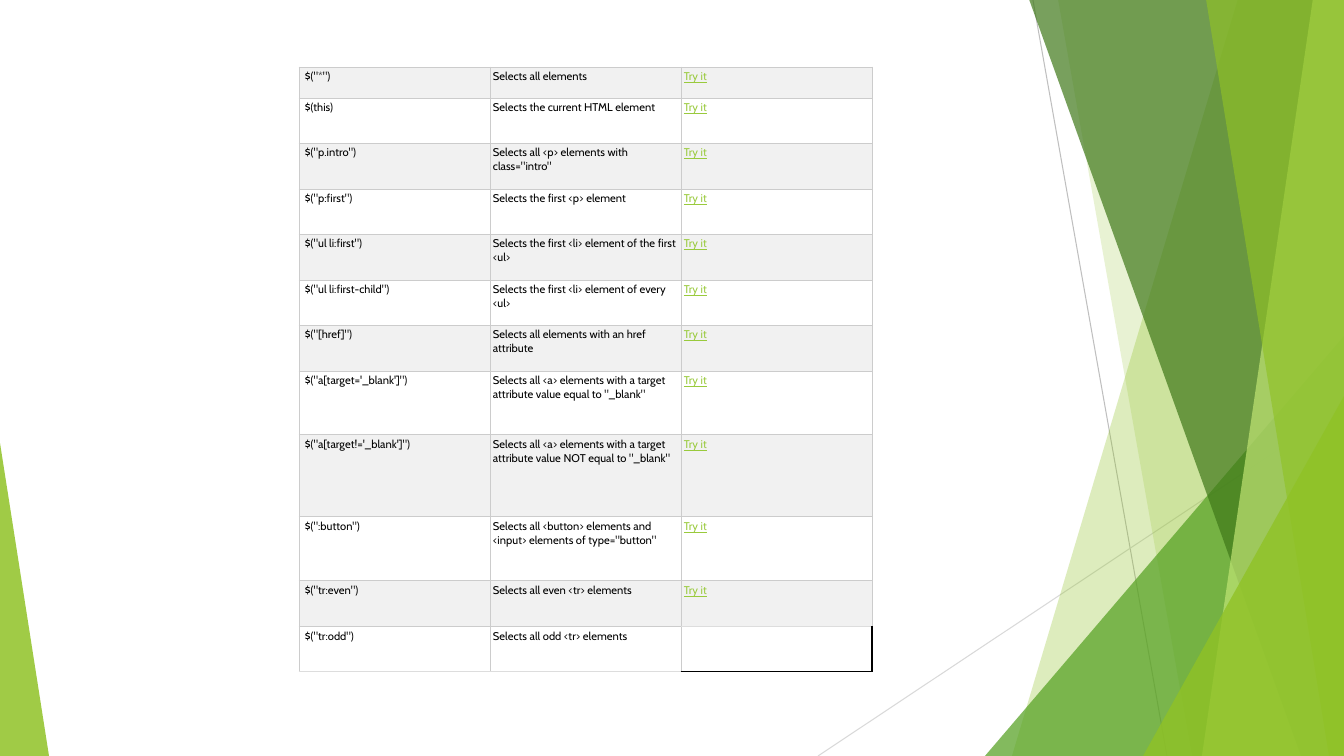
from lxml import etree
from pptx import Presentation
from pptx import util as u
from pptx.dml.color import RGBColor
from pptx.enum import shapes, text
from pptx.oxml import ns

PX = 12192000 / 1344
W, H = 1344, 756
FONT = "Cabin"
COLORS = {
    "lime": "90C226", "green": "54A021", "forest": "3F7819", "pale": "C0E474",
    "ray": "BFBFBF", "light_ray": "D9D9D9", "grid": "CCCCCC", "light_grid": "DDDDDD",
    "band": "F1F1F1", "white": "FFFFFF", "black": "000000", "link": "99CA3C",
}


def px(n):
    return u.Emu(round(n * PX))


def add_xml(parent, tag, **attributes):
    return etree.SubElement(parent, ns.qn(tag), attributes)


prs = Presentation()
prs.slide_width, prs.slide_height = px(W), px(H)
slide = prs.slides.add_slide(prs.slide_layouts[6])

# Thin rays behind the facets
for x1, y1, x2, y2, color in [(1033, 0, 1167, H, "ray"), (W, 406, 818, H, "light_ray")]:
    ray = slide.shapes.add_connector(shapes.MSO_CONNECTOR.STRAIGHT, px(x1), px(y1), px(x2), px(y2))
    ray.line.color.rgb = RGBColor.from_string(COLORS[color])
    ray.line.width = u.Pt(0.75)
    add_xml(ray._element.spPr, "a:effectLst")

# Facets, back to front: bands (top x, bottom x) reach the right edge,
# triangles (left, top, width, apex) stand on the bottom edge
facets = [
    ((1238, 1012), "lime", 30),
    ((1058, 1192), "lime", 20),
    ((985, 336, 359, 1), "green", 72),
    ((1029, 1301), "forest", 70),
    ((1313, 1202), "pale", 70),
    ((1206, 1329), "lime", 65),
    ((1143, 396, 201, 1), "lime", 80),
    ((0, 443, 49, 0), "lime", 85),
]
for outline, color, opacity in facets:
    if len(outline) == 2:
        top_x, bottom_x = outline
        band = slide.shapes.build_freeform(top_x, -1, scale=PX)
        band.add_line_segments([(W, -1), (W, H), (bottom_x, H)], close=True)
        facet = band.convert_to_shape()
    else:
        left, top, width, apex = outline
        facet = slide.shapes.add_shape(shapes.MSO_SHAPE.ISOSCELES_TRIANGLE,
                                       px(left), px(top), px(width), px(H - top))
        facet.adjustments[0] = apex
    facet.shadow.inherit = False
    facet.line.fill.background()
    facet.fill.solid()
    facet.fill.fore_color.rgb = RGBColor.from_string(COLORS[color])
    tint = facet._element.spPr.find(ns.qn("a:solidFill"))[0]
    add_xml(tint, "a:alpha", val=str(opacity * 1000))

# Selector table: selector, meaning, row height
selectors = [
    ('$("*")', "Selects all elements", 31),
    ("$(this)", "Selects the current HTML element", 45),
    ('$("p.intro")', 'Selects all <p> elements with class="intro"', 46),
    ('$("p:first")', "Selects the first <p> element", 45),
    ('$("ul li:first")', "Selects the first <li> element of the first <ul>", 46),
    ('$("ul li:first-child")', "Selects the first <li> element of every <ul>", 45),
    ('$("[href]")', "Selects all elements with an href attribute", 46),
    ("$(\"a[target='_blank']\")",
     'Selects all <a> elements with a target attribute value equal to "_blank"', 64),
    ("$(\"a[target!='_blank']\")",
     'Selects all <a> elements with a target attribute value NOT equal to "_blank"', 82),
    ('$(":button")', 'Selects all <button> elements and <input> elements of type="button"', 64),
    ('$("tr:even")', "Selects all even <tr> elements", 46),
    ('$("tr:odd")', "Selects all odd <tr> elements", 45),
]
last = len(selectors) - 1
table = slide.shapes.add_table(len(selectors), 3, px(299), px(67), px(573),
                               px(sum(row[2] for row in selectors))).table
table.first_row = table.horz_banding = False
for column in table.columns:
    column.width = px(191)

for r, (selector, meaning, height) in enumerate(selectors):
    table.rows[r].height = px(height)
    for c, wording in enumerate([selector, meaning, "Try it" if r < last else ""]):
        cell = table.cell(r, c)
        cell.margin_left = px(6 if c == 0 else 3)
        cell.margin_right = cell.margin_top = cell.margin_bottom = px(3)
        cell.vertical_anchor = text.MSO_ANCHOR.TOP

        # Borders, with the empty last cell closed in black
        borders = {side: ("grid", 0.6) for side in "LRTB"}
        if r == last or (r, c) == (last - 1, 2):
            borders["B"] = ("light_grid", 0.6)
        if not wording:
            borders.update(T=("light_grid", 0.6), R=("black", 1.5), B=("black", 1))
        for side, (color, points) in borders.items():
            edge = add_xml(cell._tc.get_or_add_tcPr(), f"a:ln{side}", w=str(u.Pt(points)))
            add_xml(add_xml(edge, "a:solidFill"), "a:srgbClr", val=COLORS[color])

        if not wording:
            cell.fill.background()
            continue
        cell.fill.solid()
        cell.fill.fore_color.rgb = RGBColor.from_string(COLORS["white" if r % 2 else "band"])
        cell.text_frame.text = wording
        font = cell.text_frame.paragraphs[0].runs[0].font
        font.name, font.size, font.underline = FONT, u.Pt(8), c == 2
        font.color.rgb = RGBColor.from_string(COLORS["link" if c == 2 else "black"])

prs.save("out.pptx")
